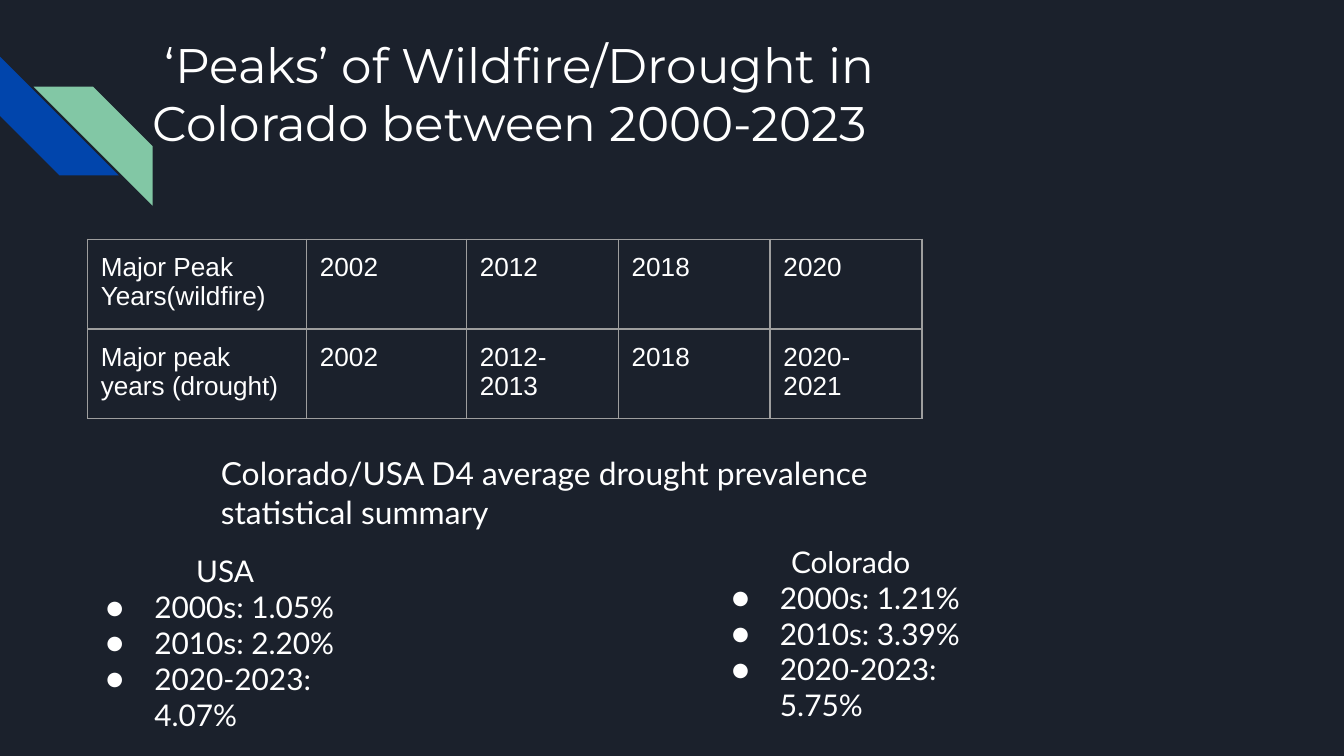
from dataclasses import dataclass

from lxml import etree
from pptx import Presentation
from pptx import util as u
from pptx.dml.color import RGBColor
from pptx.enum import shapes, text
from pptx.oxml.ns import qn

PX = 4572
DARK = RGBColor(0x1B, 0x21, 0x2C)
BLUE = RGBColor(0x01, 0x45, 0xAC)
GREEN = RGBColor(0x82, 0xC7, 0xA5)
WHITE = RGBColor(0xFF, 0xFF, 0xFF)
GREY = RGBColor(0x9E, 0x9E, 0x9E)


@dataclass
class Box:
    x: int
    y: int
    w: int
    h: int

    def emu(self) -> tuple[int, ...]:
        return tuple(v * PX for v in (self.x, self.y, self.w, self.h))


@dataclass
class Stripe:
    box: Box
    turn: int
    fill: RGBColor


@dataclass
class Note:
    box: Box
    font: str
    size: int
    head: str
    items: tuple[str, ...] = ()


STRIPES = [
    Stripe(Box(0, 84, 177, 177), 270, BLUE),
    Stripe(Box(50, 129, 177, 177), 90, GREEN),
]
NOTES = [
    Note(Box(207, 32, 1220, 236), "Montserrat", 26,
         " ‘Peaks’ of Wildfire/Drought in Colorado between 2000-2023"),
    Note(Box(309, 656, 1072, 154), "Lato", 17,
         "Colorado/USA D4 average drought prevalence statistical summary"),
    Note(Box(110, 803, 450, 310), "Lato", 16, "USA",
         ("2000s: 1.05%", "2010s: 2.20%", "2020-2023: 4.07%")),
    Note(Box(1041, 789, 450, 310), "Lato", 16, "Colorado",
         ("2000s: 1.21%", "2010s: 3.39%", "2020-2023: 5.75%")),
]
ROWS = [
    ("Major Peak Years(wildfire)", "2002", "2012", "2018", "2020"),
    ("Major peak years (drought)", "2002", "2012-2013", "2018", "2020-2021"),
]
COLS = [326, 238, 226, 226, 226]
ROW_H = 133
PADS = {f"margin_{side}": 20 * PX for side in ("left", "top", "right", "bottom")}


def apply(obj, vals: dict) -> None:
    for key, val in vals.items():
        setattr(obj, key, val)


def write(para, line: str, font: str, size: int) -> None:
    run = para.add_run()
    run.text = line
    apply(run.font, {"name": font, "size": u.Pt(size)})
    run.font.color.rgb = WHITE


def bullet(para, font: str) -> None:
    props = para._p.get_or_add_pPr()
    props.set("marL", str(100 * PX))
    props.set("indent", str(-72 * PX))
    tint = etree.SubElement(props, qn("a:buClr"))
    etree.SubElement(tint, qn("a:srgbClr"), val=str(WHITE))
    etree.SubElement(props, qn("a:buFont"), typeface=font)
    etree.SubElement(props, qn("a:buChar"), char="●")


def border(cell) -> None:
    props = cell._tc.get_or_add_tcPr()
    for side in ("lnL", "lnR", "lnT", "lnB"):
        line = etree.SubElement(props, qn(f"a:{side}"), w=str(u.Pt(0.75)))
        fill = etree.SubElement(line, qn("a:solidFill"))
        etree.SubElement(fill, qn("a:srgbClr"), val=str(GREY))


def draw_stripe(slide, stripe: Stripe) -> None:
    kind = shapes.MSO_SHAPE.DIAGONAL_STRIPE
    shape = slide.shapes.add_shape(kind, *stripe.box.emu())
    shape.rotation = stripe.turn
    shape.shadow.inherit = False
    shape.fill.solid()
    shape.fill.fore_color.rgb = stripe.fill
    shape.line.fill.background()


def draw_note(slide, note: Note) -> None:
    frame = slide.shapes.add_textbox(*note.box.emu()).text_frame
    apply(frame, {**PADS, "word_wrap": True,
                  "vertical_anchor": text.MSO_ANCHOR.TOP})
    head = frame.paragraphs[0]
    if note.items:
        head.alignment = text.PP_ALIGN.CENTER
    write(head, note.head, note.font, note.size)
    for item in note.items:
        para = frame.add_paragraph()
        bullet(para, note.font)
        write(para, item, note.font, note.size)


def draw_table(slide, x: int, y: int) -> None:
    box = Box(x, y, sum(COLS), ROW_H * len(ROWS))
    table = slide.shapes.add_table(len(ROWS), len(COLS), *box.emu()).table
    apply(table, {"first_row": False, "horz_banding": False})
    for col, wide in zip(table.columns, COLS):
        col.width = wide * PX
    for r, row in enumerate(ROWS):
        table.rows[r].height = ROW_H * PX
        for c, line in enumerate(row):
            cell = table.cell(r, c)
            apply(cell, PADS)
            border(cell)
            cell.fill.background()
            write(cell.text_frame.paragraphs[0], line, "Arial", 14)


def main() -> None:
    deck = Presentation()
    apply(deck, {"slide_width": 2000 * PX, "slide_height": 1125 * PX})
    slide = deck.slides.add_slide(deck.slide_layouts[6])
    slide.background.fill.solid()
    slide.background.fill.fore_color.rgb = DARK
    for stripe in STRIPES:
        draw_stripe(slide, stripe)
    for note in NOTES:
        draw_note(slide, note)
    draw_table(slide, 130, 356)
    deck.save("out.pptx")


if __name__ == "__main__":
    main()
